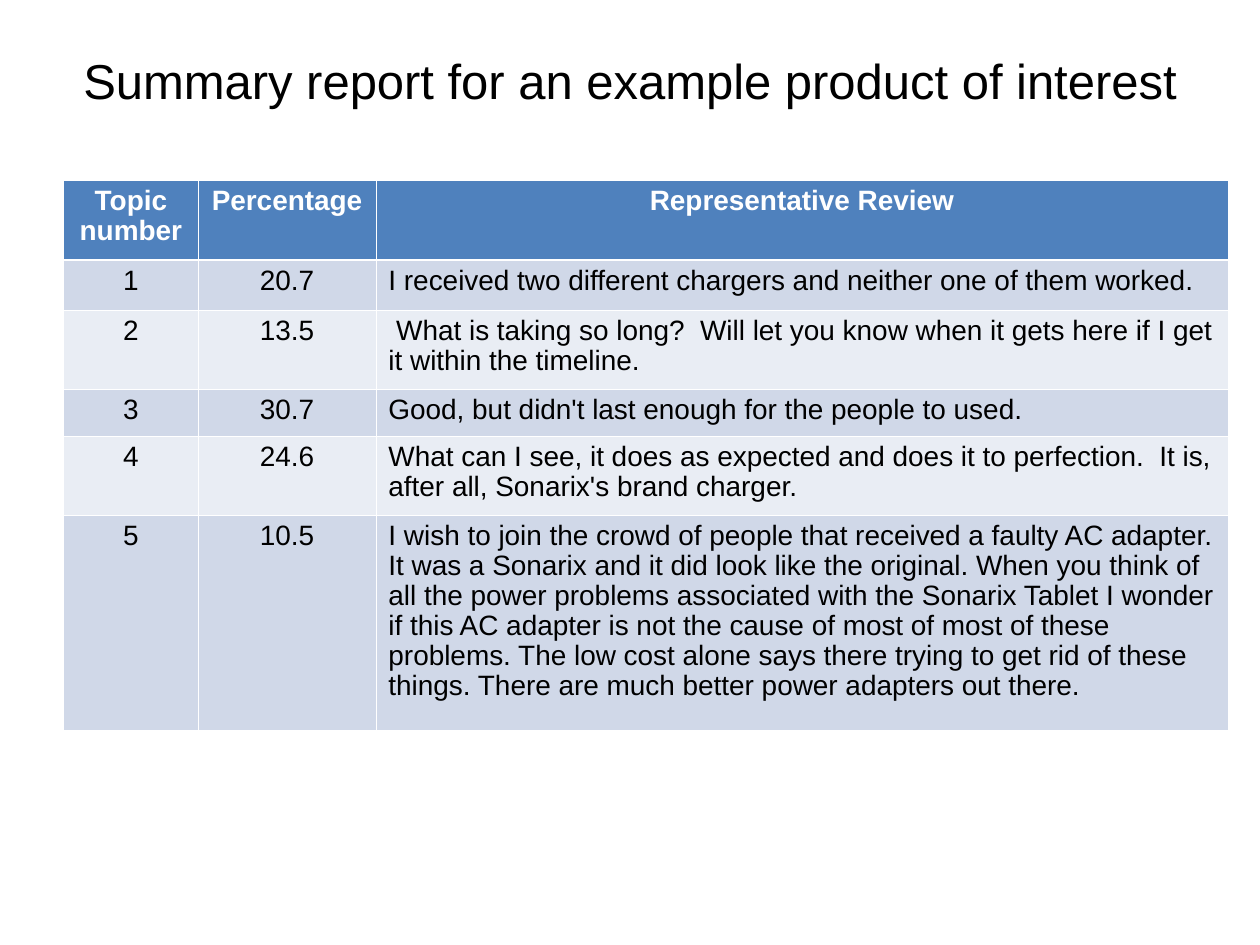
from lxml import etree
from pptx import Presentation
from pptx import util as u
from pptx.dml import color
from pptx.enum import text
from pptx.oxml import ns

Pt = u.Pt
CENTER, LEFT = text.PP_ALIGN.CENTER, text.PP_ALIGN.LEFT
THIN, THICK = 0.45, 1.47
HEADER_FILL, BAND_FILLS = "4F81BD", ("E9EDF4", "D0D8E8")

COLUMN_WIDTHS = (77, 101.5, 487)
ROW_HEIGHTS = (45.4, 28.6, 45.4, 26.8, 45.4, 122.6)
ROWS = (
    ("Topic number", "Percentage", "Representative Review"),
    ("1", "20.7", "I received two different chargers and neither one of them worked."),
    ("2", "13.5", " What is taking so long?  Will let you know when it gets here "
                  "if I get it within the timeline."),
    ("3", "30.7", "Good, but didn't last enough for the people to used."),
    ("4", "24.6", "What can I see, it does as expected and does it to perfection.  "
                  "It is, after all, Sonarix's brand charger."),
    ("5", "10.5", "I wish to join the crowd of people that received a faulty AC adapter. "
                  "It was a Sonarix and it did look like the original. When you think of all "
                  "the power problems associated with the Sonarix Tablet I wonder if this AC "
                  "adapter is not the cause of most of most of these problems. The low cost "
                  "alone says there trying to get rid of these things. There are much better "
                  "power adapters out there."),
)


def rgb(value):
    return color.RGBColor.from_string(value)


def style_cell(cell, fill, top, bottom):
    """Give a cell white borders and a solid fill; borders must precede the fill."""
    properties = cell._tc.get_or_add_tcPr()
    for side, width in (("L", THIN), ("R", THIN), ("T", top), ("B", bottom)):
        line = etree.SubElement(properties, ns.qn(f"a:ln{side}"), w=str(Pt(width)))
        solid = etree.SubElement(line, ns.qn("a:solidFill"))
        etree.SubElement(solid, ns.qn("a:srgbClr"), val="FFFFFF")
    cell.fill.solid()
    cell.fill.fore_color.rgb = rgb(fill)


presentation = Presentation()
presentation.slide_width, presentation.slide_height = Pt(720), Pt(540)
slide = presentation.slides.add_slide(presentation.slide_layouts[6])

title = slide.shapes.add_textbox(Pt(36), Pt(0.7), Pt(648), Pt(90))
title.text_frame.word_wrap = True
title.text_frame.vertical_anchor = text.MSO_ANCHOR.MIDDLE
title.text_frame.text = "Summary report for an example product of interest"
paragraph = title.text_frame.paragraphs[0]
paragraph.alignment = CENTER
paragraph.font.name, paragraph.font.size = "Arial", Pt(28)
paragraph.font.color.rgb = rgb("000000")

table = slide.shapes.add_table(
    len(ROWS), len(COLUMN_WIDTHS), Pt(36.3), Pt(103.2),
    Pt(sum(COLUMN_WIDTHS)), Pt(sum(ROW_HEIGHTS))).table
for column, width in zip(table.columns, COLUMN_WIDTHS):
    column.width = Pt(width)

for row_index, (values, height) in enumerate(zip(ROWS, ROW_HEIGHTS)):
    table.rows[row_index].height = Pt(height)
    is_header = row_index == 0
    fill = HEADER_FILL if is_header else BAND_FILLS[row_index % 2]
    for column_index, value in enumerate(values):
        cell = table.cell(row_index, column_index)
        style_cell(cell, fill, THICK if row_index == 1 else THIN,
                   THICK if is_header else THIN)
        cell.text_frame.text = value
        paragraph = cell.text_frame.paragraphs[0]
        paragraph.alignment = CENTER if is_header or column_index < 2 else LEFT
        paragraph.line_spacing = 0.96
        font = paragraph.runs[0].font
        font.name, font.size, font.bold = "Arial", Pt(16), is_header
        font.color.rgb = rgb("FFFFFF" if is_header else "000000")

presentation.save("out.pptx")
